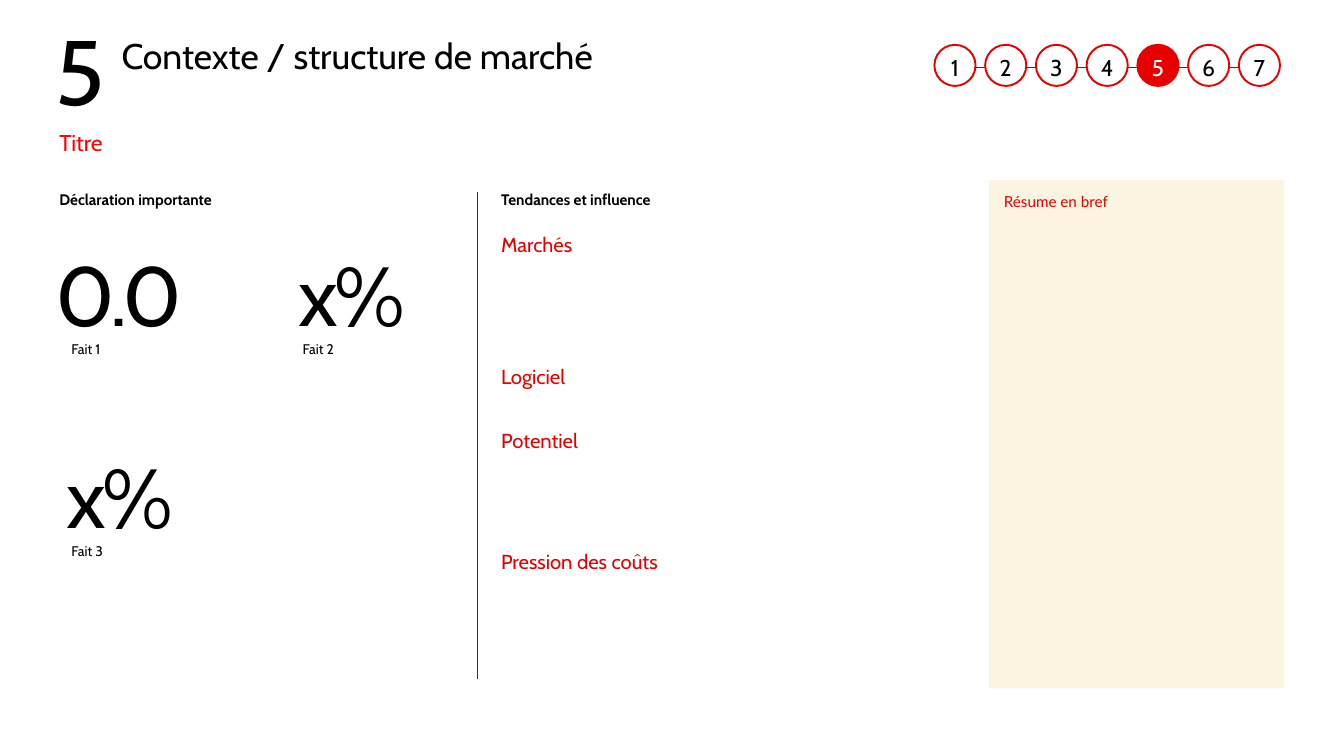
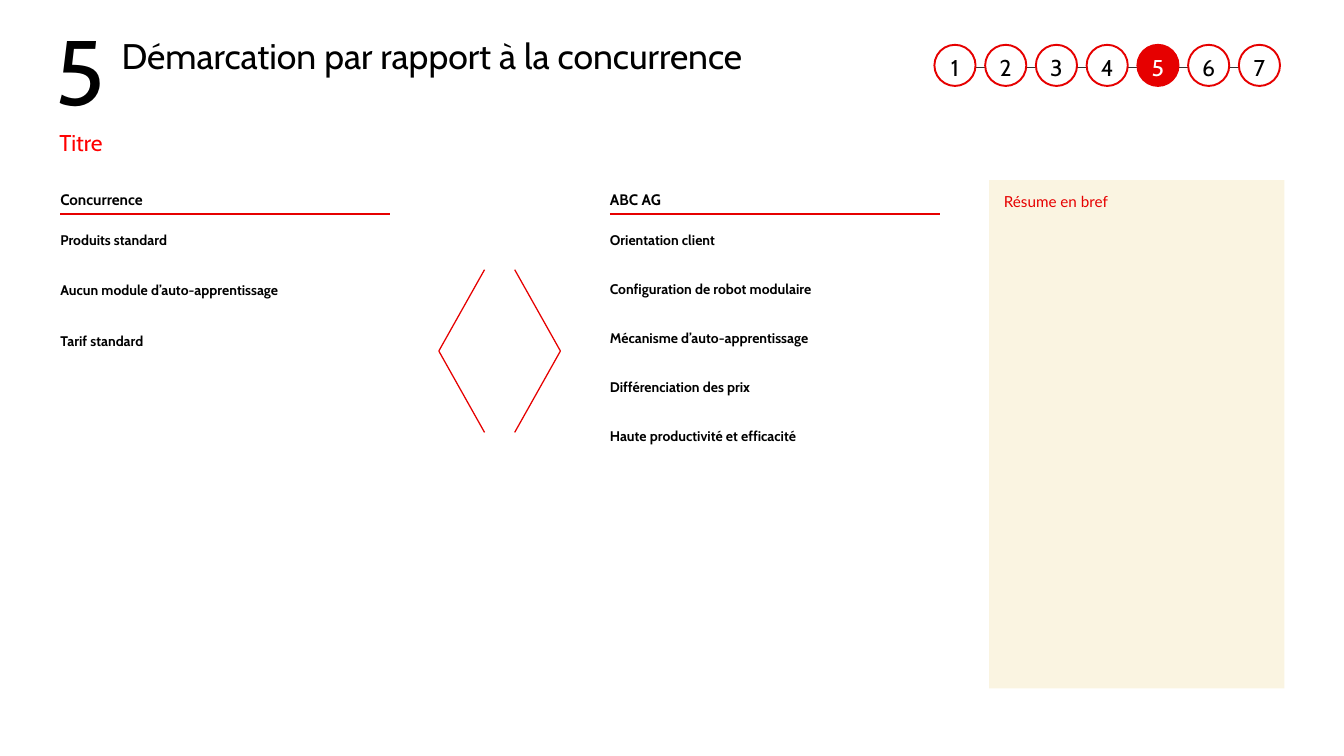
from pptx import Presentation
from pptx.dml.color import RGBColor
from pptx.enum.shapes import MSO_CONNECTOR, MSO_SHAPE
from pptx.enum.text import MSO_ANCHOR, PP_ALIGN
from pptx.util import Pt
from lxml.etree import SubElement
from pptx.oxml.ns import qn

PX = 9144
HUES = {"ink": "000000", "rule": "333333", "red": "E60000", "title": "FF0000",
        "sand": "FAF4E1", "white": "FFFFFF"}
ZERO = {"margin_left": 0, "margin_top": 0, "margin_right": 0, "margin_bottom": 0}
STEPS, STEP = 7, 5
TIGHT = {"line_spacing": 0.9}
HEAD = {"size": Pt(12), "bold": True}
ITEM = {"size": Pt(11), "bold": True}


def hue(name):
    """Return the colour of a name."""
    return RGBColor.from_string(HUES[name])


def emu(*nums):
    """Turn px into EMU."""
    return [round(num * PX) for num in nums]


def style(item, form):
    """Set every format value on an item."""
    for name, value in form.items():
        setattr(item, name, value)


def write(frame, lines, font, ink="ink", para=None, gap=0, face="Cabin", track=0):
    """Fill a text frame with one paragraph per line."""
    style(frame, {"word_wrap": True, **ZERO})
    for num, line in enumerate(lines):
        part = frame.add_paragraph() if num else frame.paragraphs[0]
        style(part, para or {})
        if num:
            part.space_before = Pt(gap)
        run = part.add_run()
        run.text = line
        style(run.font, {"name": face, **font})
        run.font.color.rgb = hue(ink)
        if track:
            run.font._element.set("spc", str(track))


def label(slide, box, text, font, **form):
    """Place a text box and return its frame."""
    frame = slide.shapes.add_textbox(*emu(*box)).text_frame
    lines = [text] if isinstance(text, str) else text
    write(frame, lines, font, **form)
    return frame


def rule(slide, ends, ink="red", width=1):
    """Draw a straight line."""
    line = slide.shapes.add_connector(MSO_CONNECTOR.STRAIGHT, *emu(*ends))
    line.line.color.rgb = hue(ink)
    line.line.width = Pt(width)
    SubElement(line._element.spPr, qn("a:effectLst"))


def solid(slide, kind, box, fill, edge=None):
    """Place a filled shape and return it."""
    shape = slide.shapes.add_shape(kind, *emu(*box))
    shape.shadow.inherit = False
    shape.fill.solid()
    shape.fill.fore_color.rgb = hue(fill)
    if edge:
        shape.line.color.rgb = hue(edge)
        shape.line.width = Pt(1.5)
    else:
        shape.line.fill.background()
    return shape


def track(slide, box):
    """Draw the numbered steps along a line."""
    left, top, width, size = box
    pitch = (width - size) / (STEPS - 1)
    mid = top + size / 2 + 2
    rule(slide, (left + size / 2, mid, left + width - size / 2, mid), "rule")
    for num in range(STEPS):
        live = num + 1 == STEP
        spot = (left + num * pitch, top, size, size)
        dot = solid(slide, MSO_SHAPE.OVAL, spot, "red" if live else "white", "red")
        frame = dot.text_frame
        write(frame, [str(num + 1)], {"size": Pt(18)}, "white" if live else "ink",
              {"alignment": PP_ALIGN.CENTER})
        style(frame, {"word_wrap": False, "vertical_anchor": MSO_ANCHOR.MIDDLE,
                      "margin_top": 4 * PX})


def brief(slide, box):
    """Draw the summary panel."""
    left, top, width, height = box
    solid(slide, MSO_SHAPE.RECTANGLE, box, "sand")
    label(slide, (left + 16, top + 16, width - 32, height - 32), "Résume en bref",
          {"size": Pt(12)}, ink="red", para=TIGHT, face="Lato")


def base(deck, title):
    """Add a slide with the shared parts."""
    slide = deck.slides.add_slide(deck.slide_layouts[6])
    frame = label(slide, (61, 13, 72, 123), str(STEP), {"size": Pt(72)},
                  para={"line_spacing": Pt(28)})
    frame.vertical_anchor = MSO_ANCHOR.BOTTOM
    track(slide, (1022, 49, 378, 45))
    label(slide, (133, 42, 861, 53), title, {"size": Pt(28)}, para=TIGHT)
    label(slide, (65, 144, 900, 35), "Titre", {"size": Pt(18)}, ink="title", para=TIGHT)
    brief(slide, (1082, 197, 323, 556))
    return slide


def facts(slide, box):
    """Place the key figures with their captions."""
    left, top, width, _ = box
    label(slide, (left, top, width, 35), "Déclaration importante", HEAD)
    cells = [("0.0", -4, 13, 57), ("x%", 262, 266, 57), ("x%", 8, 13, 278)]
    for num, (text, big, small, drop) in enumerate(cells, 1):
        label(slide, (left + big, top + drop, 171, 111), text, {"size": Pt(66)}, track=-300)
        label(slide, (left + small, top + drop + 108, 155, 56), f"Fait {num}",
              {"size": Pt(11)})


def trends(slide, box):
    """Place the trend headings beside a divider."""
    left, top, width, height = box
    rule(slide, (left - 26, top + 2, left - 26, top + height), "rule")
    label(slide, (left, top, width, 35), "Tendances et influence", HEAD)
    drops = {"Marchés": 46, "Logiciel": 190, "Potentiel": 260, "Pression des coûts": 393}
    for text, drop in drops.items():
        label(slide, (left, top + drop, width, 24), text, {"size": Pt(16)}, ink="red")


def column(slide, box, head, items, gap):
    """Place a ruled heading over a list."""
    left, top, width, height = box
    label(slide, (left, top, width, 34), head, HEAD)
    rule(slide, (left, top + 26, left + width, top + 26))
    label(slide, (left, top + 45, width, height - 45), items, ITEM, gap=gap)


def angles(slide, box):
    """Draw two open angles that point apart."""
    left, top, width, height = box
    arm = 50
    for base, tip in ((left + arm, left), (left + width - arm, left + width)):
        path = slide.shapes.build_freeform(base, top, scale=PX)
        path.add_line_segments([(tip, top + height // 2), (base, top + height)], close=False)
        shape = path.convert_to_shape()
        shape.shadow.inherit = False
        shape.fill.background()
        shape.line.color.rgb = hue("red")
        shape.line.width = Pt(1)


def main():
    """Build and save the deck."""
    deck = Presentation()
    style(deck, {"slide_width": 1470 * PX, "slide_height": 827 * PX})

    market = base(deck, "Contexte / structure de marché")
    facts(market, (65, 208, 420, 535))
    trends(market, (548, 208, 435, 535))

    rivals = base(deck, "Démarcation par rapport à la concurrence")
    column(rivals, (66, 208, 361, 413), "Concurrence",
           ["Produits standard", "Aucun module d’auto-apprentissage", "Tarif standard"], 26.6)
    angles(rivals, (480, 295, 133, 178))
    column(rivals, (667, 208, 361, 497), "ABC AG",
           ["Orientation client", "Configuration de robot modulaire",
            "Mécanisme d’auto-apprentissage", "Différenciation des prix",
            "Haute productivité et efficacité"], 25.4)
    deck.save("out.pptx")


if __name__ == "__main__":
    main()
